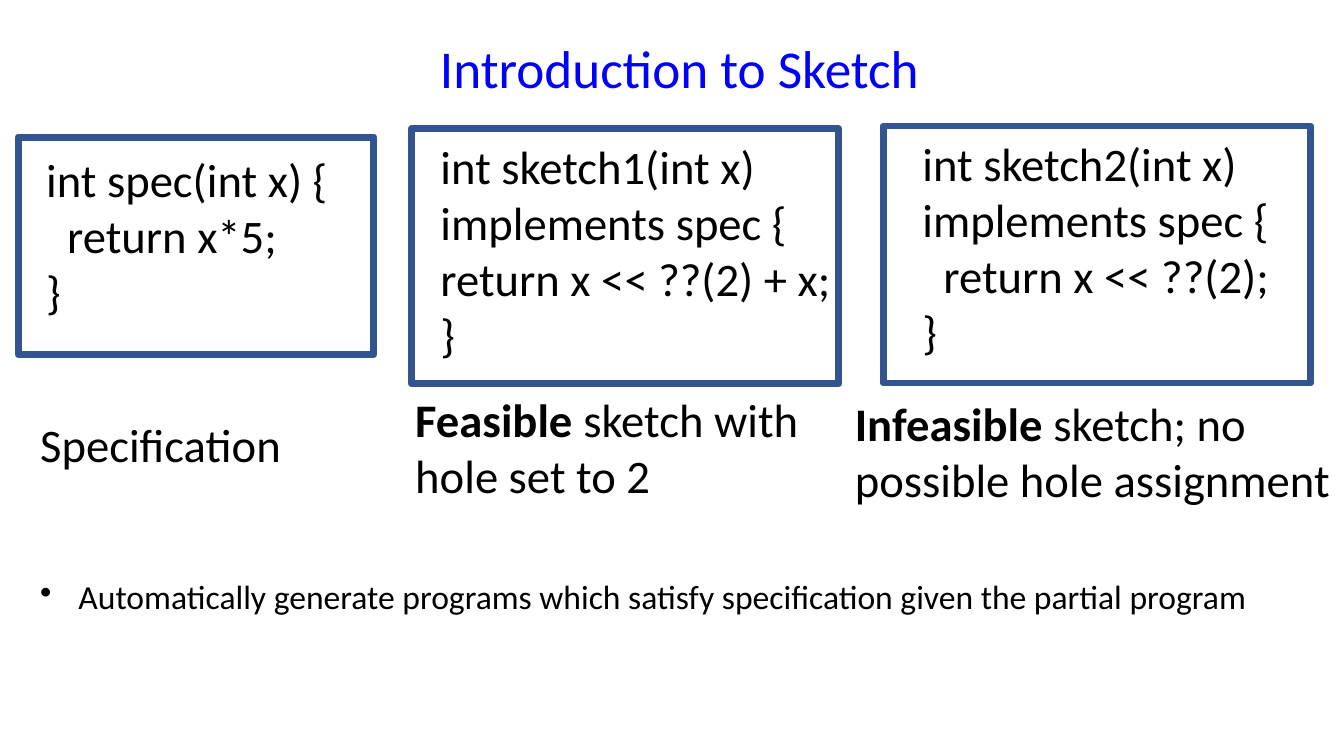
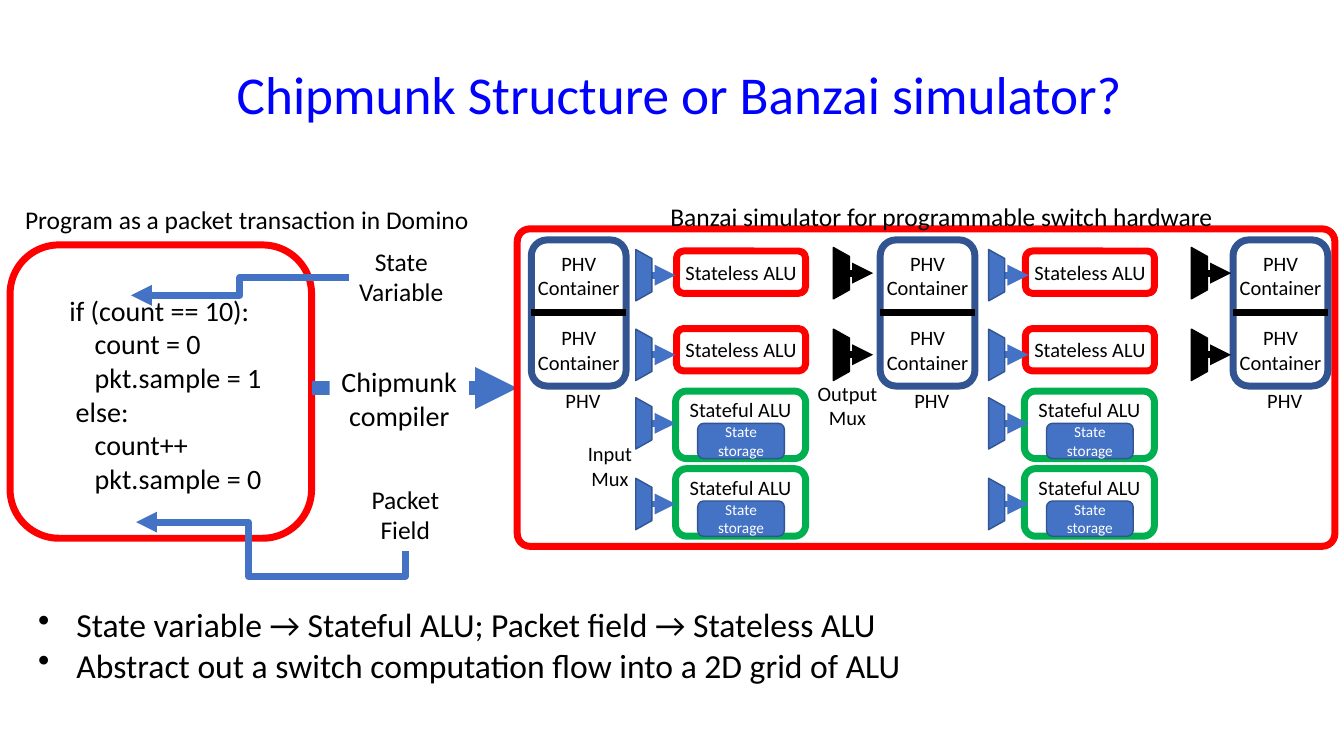
import pptx
import pptx.dml.color
import pptx.enum.shapes
import pptx.enum.text
import pptx.oxml
import pptx.oxml.ns
import pptx.util

Inches = pptx.util.Inches
Pt = pptx.util.Pt
rgb = pptx.dml.color.RGBColor.from_string
qn = pptx.oxml.ns.qn
SHAPE = pptx.enum.shapes.MSO_SHAPE
CONNECTOR = pptx.enum.shapes.MSO_CONNECTOR
ALIGN = pptx.enum.text.PP_ALIGN
ANCHOR = pptx.enum.text.MSO_ANCHOR
AUTO_SIZE = pptx.enum.text.MSO_AUTO_SIZE

FONT = "Calibri"
BLACK, WHITE, RED, GREEN = "000000", "FFFFFF", "FF0000", "00B050"
TITLE_BLUE, BLUE, DARK_BLUE = "0000FF", "4472C4", "325491"
THICK = 5


def add_item(slide, box, text="", size=18, colour=BLACK, align=ALIGN.LEFT,
             anchor=ANCHOR.TOP, wrap=True, preset=None, fill=None,
             outline=None, width=THICK, margins=(0.1, 0.05)):
    """Add a text box, or a preset shape if one is given; box is in inches."""
    place = [Inches(length) for length in box]
    if preset is None:
        shape = slide.shapes.add_textbox(*place)
    else:
        shape = slide.shapes.add_shape(preset, *place)
        shape.shadow.inherit = False
    if fill:
        shape.fill.solid()
        shape.fill.fore_color.rgb = rgb(fill)
    else:
        shape.fill.background()
    if outline:
        shape.line.color.rgb = rgb(outline)
        shape.line.width = Pt(width)
    else:
        shape.line.fill.background()
    if text:
        frame = shape.text_frame
        frame.text = text
        frame.word_wrap = wrap
        if not wrap:
            frame.auto_size = AUTO_SIZE.SHAPE_TO_FIT_TEXT
        frame.vertical_anchor = anchor
        frame.margin_left = frame.margin_right = Inches(margins[0])
        frame.margin_top = frame.margin_bottom = Inches(margins[1])
        for paragraph in frame.paragraphs:
            paragraph.alignment = align
            for run in paragraph.runs:
                run.font.name = FONT
                run.font.size = Pt(size)
                run.font.color.rgb = rgb(colour)
    return shape


def add_line(slide, begin, end, colour, width=THICK, arrow=True,
             kind=CONNECTOR.STRAIGHT):
    points = [Inches(length) for length in (*begin, *end)]
    connector = slide.shapes.add_connector(kind, *points)
    connector.line.color.rgb = rgb(colour)
    connector.line.width = Pt(width)
    properties = connector.element.spPr
    if arrow:
        tail = pptx.oxml.parse_xml(
            f'<a:tailEnd {pptx.oxml.ns.nsdecls("a")} type="triangle"/>')
        properties.find(qn("a:ln")).append(tail)
    properties.append(pptx.oxml.parse_xml(
        f'<a:effectLst {pptx.oxml.ns.nsdecls("a")}/>'))
    return connector


presentation = pptx.Presentation()
presentation.slide_width = Inches(13.33)
presentation.slide_height = Inches(7.5)

# Title and bullets of both slides
slides = []
for title, title_top, bullets, bullets_box in (
    ("Introduction to Sketch", 0.04,
     "Automatically generate programs which satisfy specification "
     "given the partial program", (0.3, 5.29, 13.04, 1.25)),
    ("Chipmunk Structure or Banzai simulator?", 0.3,
     "State variable → Stateful ALU; Packet field → Stateless ALU\n"
     "Abstract out a switch computation flow into a 2D grid of ALU",
     (0.28, 5.77, 12.84, 1.25)),
):
    slide = presentation.slides.add_slide(presentation.slide_layouts[6])
    slides.append(slide)
    add_item(slide, (0.32, title_top, 12.84, 1.25), title, 38, TITLE_BLUE,
             ALIGN.CENTER, ANCHOR.MIDDLE)
    body = add_item(slide, bullets_box, bullets, 24, anchor=ANCHOR.MIDDLE)
    for paragraph in body.text_frame.paragraphs:
        properties = paragraph._p.get_or_add_pPr()
        properties.set("marL", str(Inches(0.38)))
        properties.set("indent", str(-Inches(0.38)))
        properties.append(pptx.oxml.parse_xml(
            f'<a:buChar {pptx.oxml.ns.nsdecls("a")} char="•"/>'))
intro, structure = slides

# Slide 1: code panels with captions
for frame_box, code_box, code, caption_box, verdict, caption in (
    ((0.18, 1.36, 3.53, 2.16), (0.36, 1.45, 3.53, 1.78),
     "int spec(int x) {\n  return x*5;\n}",
     (0.3, 4.08, 2.62, 0.66), "", "Specification"),
    ((4.08, 1.28, 4.24, 2.53), (4.27, 1.32, 4.29, 2.34),
     "int sketch1(int x) implements spec {\nreturn x << ??(2) + x;\n}",
     (4.02, 3.83, 4, 1.22), "Feasible", " sketch with\nhole set to 2"),
    ((8.76, 1.25, 4.24, 2.55), (9.05, 1.29, 4.93, 2.34),
     "int sketch2(int x) implements spec {\n  return x << ??(2);\n}",
     (8.38, 3.87, 4.96, 1.22), "Infeasible",
     " sketch; no\npossible hole assignment"),
):
    add_item(intro, code_box, code, 33.3)
    add_item(intro, frame_box, preset=SHAPE.RECTANGLE, outline=DARK_BLUE)
    label = add_item(intro, caption_box, verdict + caption, 33.3, wrap=False)
    if verdict:
        paragraph = label.text_frame.paragraphs[0]
        first = paragraph.runs[0]
        first.text = verdict
        first.font.bold = True
        rest = paragraph.add_run()
        rest.text = caption.split("\n")[0]
        rest.font.name = FONT
        rest.font.size = Pt(33.3)
        rest.font.color.rgb = rgb(BLACK)

# Slide 2: packet program and compiler
add_item(structure, (0.1, 2.43, 2.99, 2.91), preset=SHAPE.ROUNDED_RECTANGLE,
         outline=RED)
add_item(structure, (0.59, 2.86, 2.11, 2.12),
         "if (count == 10):\n    count = 0\n    pkt.sample = 1\n"
         " else:\n    count++\n    pkt.sample = 0", 20)
add_item(structure, (-0.84, 1.97, 6.58, 0.41),
         "Program as a packet transaction in Domino", 18.2,
         align=ALIGN.CENTER)
add_line(structure, (3.09, 3.85), (5.13, 3.85), BLUE, 10)
add_item(structure, (3.27, 3.57, 1.38, 0.77), "Chipmunk\ncompiler", 20,
         align=ALIGN.CENTER, preset=SHAPE.RECTANGLE, fill=WHITE)

# Callouts into the program
for box, text in (((3.46, 2.39, 1.04, 0.71), "State\nVariable"),
                  ((3.58, 4.75, 0.88, 0.71), "Packet\nField")):
    add_item(structure, box, text, 18.2, align=ALIGN.CENTER, wrap=False)
add_line(structure, (3.46, 2.75), (1.3, 2.93), BLUE, kind=CONNECTOR.ELBOW)

# The packet field arrow has four legs, so it is a turned bentConnector4
field_arrow = add_line(structure, (2.83, 3.99), (2.54, 6.66), BLUE,
                       kind=CONNECTOR.ELBOW)
properties = field_arrow.element.spPr
properties.find(qn("a:xfrm")).set("rot", "5400000")
geometry = properties.find(qn("a:prstGeom"))
geometry.set("prst", "bentConnector4")
for child in list(geometry):
    geometry.remove(child)
geometry.append(pptx.oxml.parse_xml(
    f'<a:avLst {pptx.oxml.ns.nsdecls("a")}>'
    '<a:gd name="adj1" fmla="val -85500"/>'
    '<a:gd name="adj2" fmla="val 58200"/></a:avLst>'))

# Simulator frame
simulator = add_item(structure, (5.13, 2.27, 8.11, 3.15),
                     preset=SHAPE.ROUNDED_RECTANGLE, outline=RED)
simulator.adjustments[0] = 0.04
add_item(structure, (6.55, 1.95, 5.62, 0.41),
         "Banzai simulator for programmable switch hardware", 18.2, wrap=False)

# Packet header vectors, two containers each
for left in (5.27, 8.73, 12.23):
    add_item(structure, (left, 2.38, 0.94, 1.45),
             preset=SHAPE.ROUNDED_RECTANGLE, outline=DARK_BLUE)
    add_line(structure, (left, 3.1), (left + 0.94, 3.1), BLACK, arrow=False)
    for top in (2.44, 3.18):
        add_item(structure, (left - 0.04, top, 1.02, 0.59), "PHV\nContainer",
                 14.6, align=ALIGN.CENTER)
    add_item(structure, (left + 0.24, 3.8, 0.55, 0.35), "PHV", 14.6,
             wrap=False)

# Two stages of ALUs
for left in (6.7, 10.16):
    for top in (2.49, 3.26):
        add_item(structure, (left + 0.01, top, 1.28, 0.42), "Stateless ALU",
                 14.6, align=ALIGN.CENTER, anchor=ANCHOR.MIDDLE,
                 preset=SHAPE.ROUNDED_RECTANGLE, outline=RED,
                 margins=(0.06, 0.03))
    for top in (3.88, 4.65):
        add_item(structure, (left, top, 1.29, 0.67), "Stateful ALU", 14.6,
                 align=ALIGN.CENTER, preset=SHAPE.ROUNDED_RECTANGLE,
                 outline=GREEN, margins=(0.06, 0.03))
        add_item(structure, (left + 0.22, top + 0.32, 0.86, 0.35),
                 "State storage", 10.9, WHITE, ALIGN.CENTER, ANCHOR.MIDDLE,
                 preset=SHAPE.ROUNDED_RECTANGLE, fill=BLUE, outline=DARK_BLUE,
                 width=1, margins=(0.06, 0.03))

# Input muxes feed the ALUs, output muxes feed the next PHV
input_rows = (2.73, 3.52, 4.2, 5)
output_rows = (2.71, 3.52)
for left, rows, fill, outline in (
    (6.13, input_rows, BLUE, DARK_BLUE),
    (9.63, input_rows, BLUE, DARK_BLUE),
    (8.09, output_rows, BLACK, BLACK),
    (11.64, output_rows, BLACK, BLACK),
):
    for middle in rows:
        add_line(structure, (left + 0.34, middle), (left + 0.57, middle), fill)
        mux = add_item(structure, (left, middle - 0.08, 0.51, 0.16),
                       preset=SHAPE.TRAPEZOID, fill=fill, outline=outline,
                       width=1)
        mux.adjustments[0] = 0.56
        mux.rotation = 90
for box, text in (((5.73, 4.33, 0.64, 0.59), "Input\nMux"),
                  ((8.01, 3.73, 0.79, 0.59), "Output\nMux")):
    add_item(structure, box, text, 14.6, align=ALIGN.CENTER, wrap=False)

presentation.save("out.pptx")
